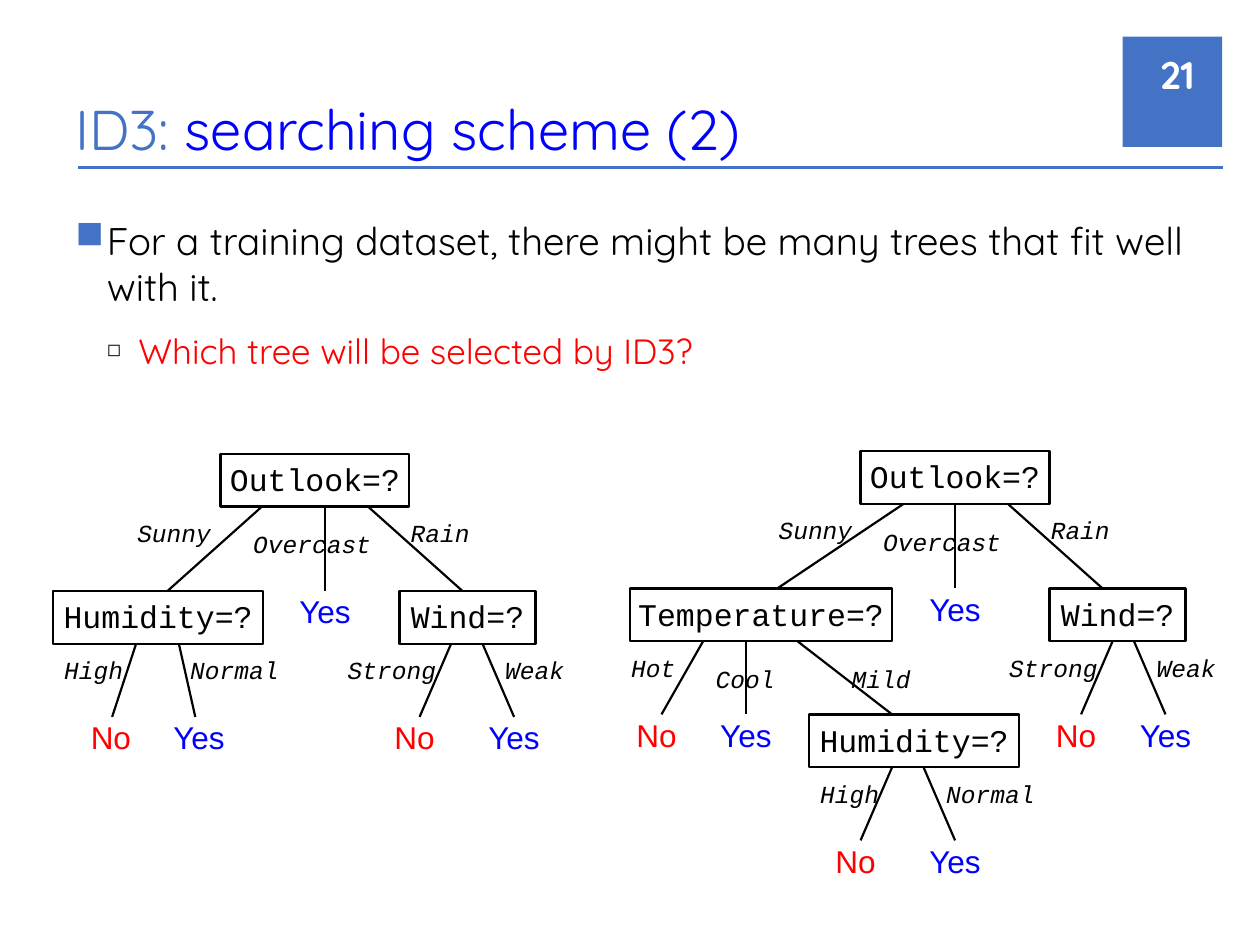
"""Slide with two ID3 decision trees that fit the same training data."""
from lxml import etree
from pptx import Presentation
from pptx import util as u
from pptx.dml.color import RGBColor
from pptx.enum import shapes, text
from pptx.oxml import ns

BLUE = RGBColor(0x44, 0x72, 0xC4)
PURE = RGBColor(0x00, 0x00, 0xFF)
RED = RGBColor(0xFF, 0x00, 0x00)
BLACK = RGBColor(0x00, 0x00, 0x00)
WHITE = RGBColor(0xFF, 0xFF, 0xFF)
LEFT, MID, RIGHT = text.PP_ALIGN.LEFT, text.PP_ALIGN.CENTER, text.PP_ALIGN.RIGHT
RECT = shapes.MSO_SHAPE.RECTANGLE

HEAD = {"name": "Quicksand", "size": u.Pt(32)}
BODY = {"name": "Quicksand", "size": u.Pt(22)}
SUB = {"name": "Quicksand", "size": u.Pt(20)}
PAGE = {"name": "Quicksand", "size": u.Pt(22), "bold": True}
TEST = {"name": "Courier New", "size": u.Pt(18)}
LABEL = {"name": "Courier New", "size": u.Pt(14), "italic": True}
LEAF = {"name": "Arial", "size": u.Pt(18)}


def write(para, words, font, color, align=LEFT):
    para.alignment = align
    run = para.add_run()
    run.text = words
    for key, val in font.items():
        setattr(run.font, key, val)
    run.font.color.rgb = color


def draw(home, kind, x, y, w, h, pad=None, color=None, width=1.25):
    spot = [u.Inches(v) for v in (x, y, w, h)]
    if kind == "line":
        spot[2:] = [u.Inches(x + w), u.Inches(y + h)]
        item = home.add_connector(shapes.MSO_CONNECTOR.STRAIGHT, *spot)
        etree.SubElement(item._element.spPr, ns.qn("a:effectLst"))
    elif kind == "rect":
        item = home.add_shape(RECT, *spot)
        item.shadow.inherit = False
        item.fill.background()
    else:
        item = home.add_textbox(*spot)
    if color is not None:
        item.line.color.rgb = color
        item.line.width = u.Pt(width)
    if kind != "line":
        frame = item.text_frame
        frame.word_wrap = True
        frame.vertical_anchor = text.MSO_ANCHOR.TOP
        if pad is not None:
            for side in ("left", "top", "right", "bottom"):
                setattr(frame, "margin_" + side, u.Inches(pad))
    return item


deck = Presentation()
deck.slide_width, deck.slide_height = u.Inches(10), u.Inches(7.5)
slide = deck.slides.add_slide(deck.slide_layouts[6])
page = slide.shapes

for spot, color in (((8.91, 0.29, 0.79, 1.8), BLUE), ((8.75, 1.17, 1.17, 1.08), WHITE)):
    block = draw(page, "rect", *spot, color=color, width=1)
    block.fill.solid()
    block.fill.fore_color.rgb = color
    if color == BLUE:
        block.line.fill.background()

title = draw(page, "text", 0.5, 0.5, 9.25, 0.83).text_frame
title.vertical_anchor = text.MSO_ANCHOR.BOTTOM
write(title.paragraphs[0], "ID3: ", HEAD, BLUE)
write(title.paragraphs[0], "searching scheme (2)", HEAD, PURE)

body = draw(page, "text", 0.5, 1.67, 9.25, 5.83).text_frame
points = (
    ("For a training dataset, there might be many trees that fit well with it.",
     BODY, BLACK, "■", BLUE, 100),
    ("Which tree will be selected by ID3?", SUB, RED, "◻", BLACK, 50),
)
for lev, (words, font, color, mark, tint, size) in enumerate(points):
    para = body.add_paragraph() if lev else body.paragraphs[0]
    para.level = lev
    para.space_before = u.Pt(12)
    write(para, words, font, color)
    prop = para._p.get_or_add_pPr()
    prop.set("marL", str(u.Inches(0.25 * (lev + 1))))
    prop.set("indent", str(u.Inches(-0.25)))
    shade = etree.SubElement(prop, ns.qn("a:buClr"))
    etree.SubElement(shade, ns.qn("a:srgbClr"), val=str(tint))
    etree.SubElement(prop, ns.qn("a:buSzPct"), val=str(size * 1000))
    etree.SubElement(prop, ns.qn("a:buChar"), char=mark)

draw(page, "line", 0.62, 1.33, 9.09, 0, color=BLUE, width=2)
num = draw(page, "text", 9.03, 0.39, 0.55, 0.4).text_frame
num.vertical_anchor = text.MSO_ANCHOR.MIDDLE
write(num.paragraphs[0], "21", PAGE, WHITE, RIGHT)

# tests: row, x, width; edges: row, from x, to x, label x, width, drop; leaves: row, x
TREES = (
    {"top": 3.6,
     "tests": ((0, 1.75, 1.5, "Outlook=?"), (1, 0.42, 1.67, "Humidity=?"),
               (1, 3.17, 1.08, "Wind=?")),
     "edges": ((0, 2.08, 1.33, "Sunny", 1.08, 0.67, 0.5),
               (0, 2.58, 2.58, "Overcast", 2, 0.99, 0.59),
               (0, 2.92, 3.67, "Rain", 3.25, 0.58, 0.5),
               (1, 1.08, 0.89, "High", 0.5, 0.5, 0.5),
               (1, 1.42, 1.55, "Normal", 1.5, 0.75, 0.5),
               (1, 3.58, 3.33, "Strong", 2.75, 0.83, 0.5),
               (1, 3.83, 4.08, "Weak", 4, 0.58, 0.5)),
     "leaves": ((1, 2.33, "Yes"), (2, 0.67, "No"), (2, 1.33, "Yes"),
                (2, 3.08, "No"), (2, 3.83, "Yes"))},
    {"top": 3.58,
     "tests": ((0, 6.83, 1.5, "Outlook=?"), (1, 5, 2.08, "Temperature=?"),
               (1, 8.33, 1.08, "Wind=?"), (2, 6.42, 1.67, "Humidity=?")),
     "edges": ((0, 7.17, 6.17, "Sunny", 6.17, 0.67, 0.5),
               (0, 7.58, 7.58, "Overcast", 7, 0.99, 0.59),
               (0, 8, 8.75, "Rain", 8.33, 0.58, 0.5),
               (1, 5.58, 5.25, "Hot", 5, 0.5, 0.5),
               (1, 5.92, 5.92, "Cool", 5.67, 0.58, 0.59),
               (1, 6.33, 7.08, "Mild", 6.75, 0.58, 0.59),
               (1, 8.83, 8.58, "Strong", 8, 0.83, 0.5),
               (1, 9, 9.25, "Weak", 9.17, 0.58, 0.5),
               (2, 7.08, 6.83, "High", 6.5, 0.58, 0.5),
               (2, 7.33, 7.58, "Normal", 7.5, 0.75, 0.5)),
     "leaves": ((1, 7.33, "Yes"), (2, 5, "No"), (2, 5.67, "Yes"), (2, 8.33, "No"),
                (2, 9, "Yes"), (3, 6.58, "No"), (3, 7.33, "Yes"))},
)
HIGH = 0.42

for tree in TREES:
    group = page.add_group_shape().shapes
    rows = [tree["top"] + gap for gap in (0, 1.09, 2.09, 3.09)]
    hubs = {}
    for row, x, w, words in tree["tests"]:
        box = draw(group, "rect", x, rows[row], w, HIGH, 0.05, BLACK)
        write(box.text_frame.paragraphs[0], words, TEST, BLACK, MID)
        hubs[row, round(x + w / 2, 2)] = box
    for row, x, end, words, left, w, drop in tree["edges"]:
        y = rows[row] + HIGH
        line = draw(group, "line", x, y, end - x, rows[row + 1] - y, color=BLACK)
        if (row, x) in hubs:
            line.begin_connect(hubs[row, x], 2)
        note = draw(group, "text", left, rows[row] + drop, w, 0.25, 0.01)
        write(note.text_frame.paragraphs[0], words, LABEL, BLACK)
    for row, x, words in tree["leaves"]:
        w, color = (0.5, PURE) if words == "Yes" else (0.42, RED)
        leaf = draw(group, "text", x, rows[row], w, 0.33, 0.01)
        write(leaf.text_frame.paragraphs[0], words, LEAF, color, MID)

deck.save("out.pptx")
